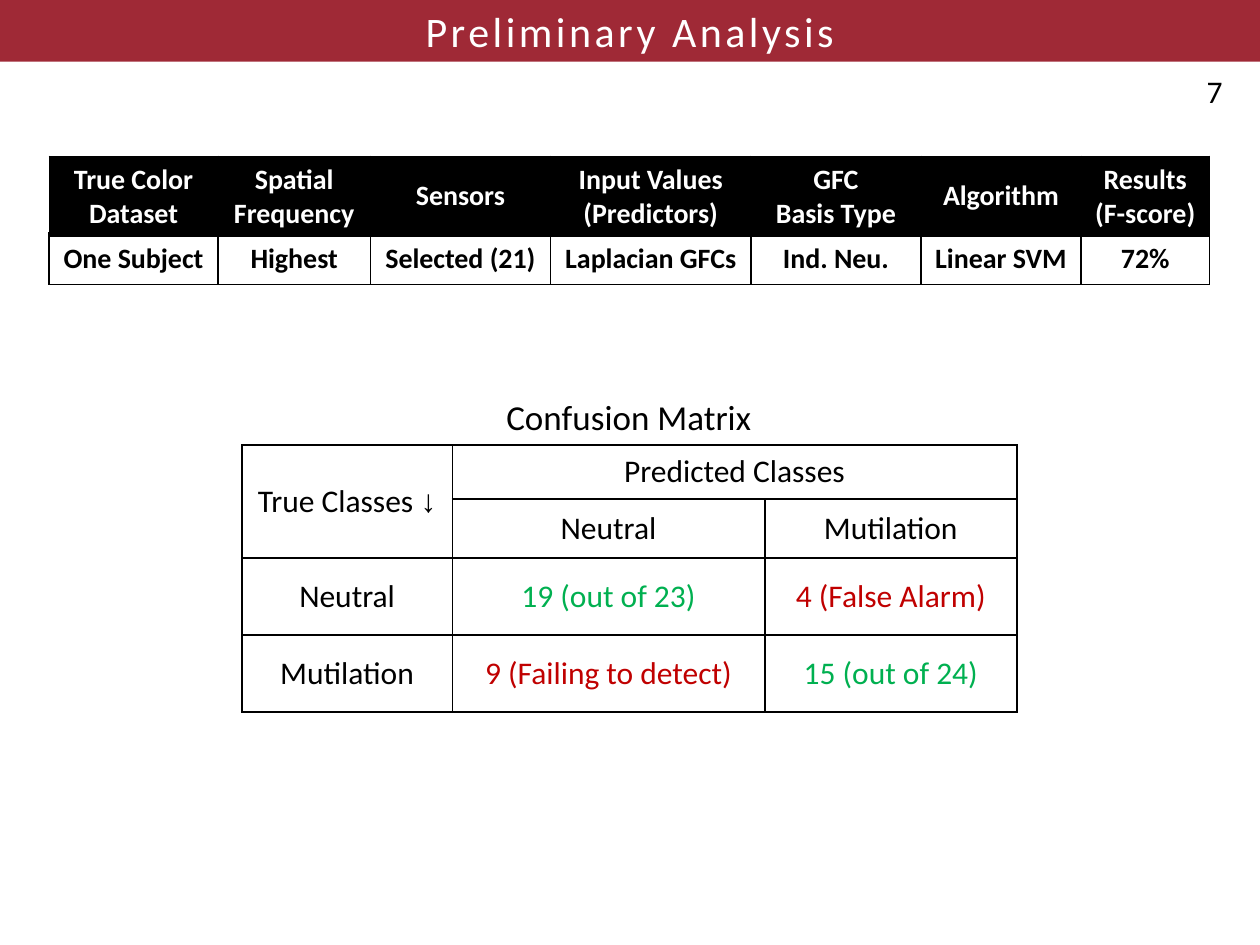
"""Build a slide with a results table above a confusion matrix."""
from lxml.etree import SubElement
from pptx import Presentation
from pptx.dml.color import RGBColor
from pptx.enum.text import MSO_ANCHOR as Anchor, MSO_AUTO_SIZE as Fit, PP_ALIGN as Align
from pptx.oxml import parse_xml
from pptx.oxml.ns import qn
from pptx.util import Inches, Pt

hue = RGBColor.from_string
BLACK, WHITE, WINE = "000000", "FFFFFF", "9F2936"
GREEN, RED = "00B050", "C00000"

deck = Presentation()
deck.slide_width, deck.slide_height = Inches(10), Inches(7.5)
unit = deck.slide_width // 1000
slide = deck.slides.add_slide(deck.slide_layouts[5])
shapes = slide.shapes


def write(frame, text, size=18, color=BLACK, bold=False, align=Align.CENTER, space=0):
    for row, line in enumerate(text.split("\n")):
        para = frame.paragraphs[0] if row == 0 else frame.add_paragraph()
        para.alignment = align
        label, arrow, _ = line.partition("↓")
        for part, face in ((label, "Calibri"), (arrow, "Times New Roman")):
            if part:
                run = para.add_run()
                run.text = part
                run.font.name, run.font.size, run.font.bold = face, Pt(size), bold
                run.font.color.rgb = hue(color)
                if space:
                    run._r.get_or_add_rPr().set("spc", str(space * 100))


def grid(left, top, cols, rows, texts, fill=None, line=1, **style):
    """Draw a bordered table, measured in thousandths of the slide width."""
    table = shapes.add_table(len(rows), len(cols), left * unit, top * unit,
                             sum(cols) * unit, sum(rows) * unit).table
    table.first_row = table.horz_banding = False
    for col, width in zip(table.columns, cols):
        col.width = width * unit
    for row, height in zip(table.rows, rows):
        row.height = height * unit
    for y, words in enumerate(texts):
        for x, text in enumerate(words):
            cell = table.cell(y, x)
            cell.vertical_anchor = Anchor.MIDDLE
            props = cell._tc.get_or_add_tcPr()
            for side in "LRTB":
                edge = SubElement(props, qn(f"a:ln{side}"), w=str(Pt(line)))
                SubElement(SubElement(edge, qn("a:solidFill")), qn("a:srgbClr"), val=BLACK)
            if fill:
                cell.fill.solid()
                cell.fill.fore_color.rgb = hue(fill)
            else:
                cell.fill.background()
            if text:
                tint = {"color": shade[text]} if text in shade else {}
                write(cell.text_frame, text, **{**style, **tint})
    return table


page = shapes.add_textbox(935 * unit, 57 * unit, 58 * unit, 30 * unit).text_frame
page.margin_left = page.margin_right = page.margin_top = page.margin_bottom = 0
page.vertical_anchor = Anchor.MIDDLE
page.word_wrap = True
write(page, "7")

title = shapes.title
title.left, title.top, title.width, title.height = 0, 0, deck.slide_width, 49 * unit
title.fill.solid()
title.fill.fore_color.rgb = hue(WINE)
title.text_frame.auto_size = Fit.NONE
title.text_frame.vertical_anchor = Anchor.MIDDLE
write(title.text_frame, "Preliminary Analysis", size=24, color=WHITE, space=2)

shade = {"19 (out of 23)": GREEN, "15 (out of 24)": GREEN,
         "4 (False Alarm)": RED, "9 (Failing to detect)": RED}
matrix = grid(192, 353, [167, 248, 200], [43, 47, 61, 61], [
    ["True Classes ↓", "Predicted Classes", ""],
    ["", "Neutral", "Mutilation"],
    ["Neutral", "19 (out of 23)", "4 (False Alarm)"],
    ["Mutilation", "9 (Failing to detect)", "15 (out of 24)"]])
matrix.cell(0, 0).merge(matrix.cell(1, 0))
matrix.cell(0, 1).merge(matrix.cell(0, 2))

name = shapes.add_textbox(392 * unit, 309 * unit, 216 * unit, 44 * unit).text_frame
name.word_wrap = False
write(name, "Confusion Matrix", size=20, align=Align.LEFT)

cols = [134, 121, 143, 159, 135, 127, 102]
grid(39, 185, cols, [41], [[
    "One Subject", "Highest", "Selected (21)", "Laplacian GFCs",
    "Ind. Neu.", "Linear SVM", "72%"]], size=16, bold=True)
grid(39, 124, cols, [63], [[
    "True Color\nDataset", "Spatial\nFrequency", "Sensors", "Input Values\n(Predictors)",
    "GFC\nBasis Type", "Algorithm", "Results\n(F-score)"]],
    fill=BLACK, line=0.75, size=16, color=WHITE, bold=True)

deck.save("out.pptx")
